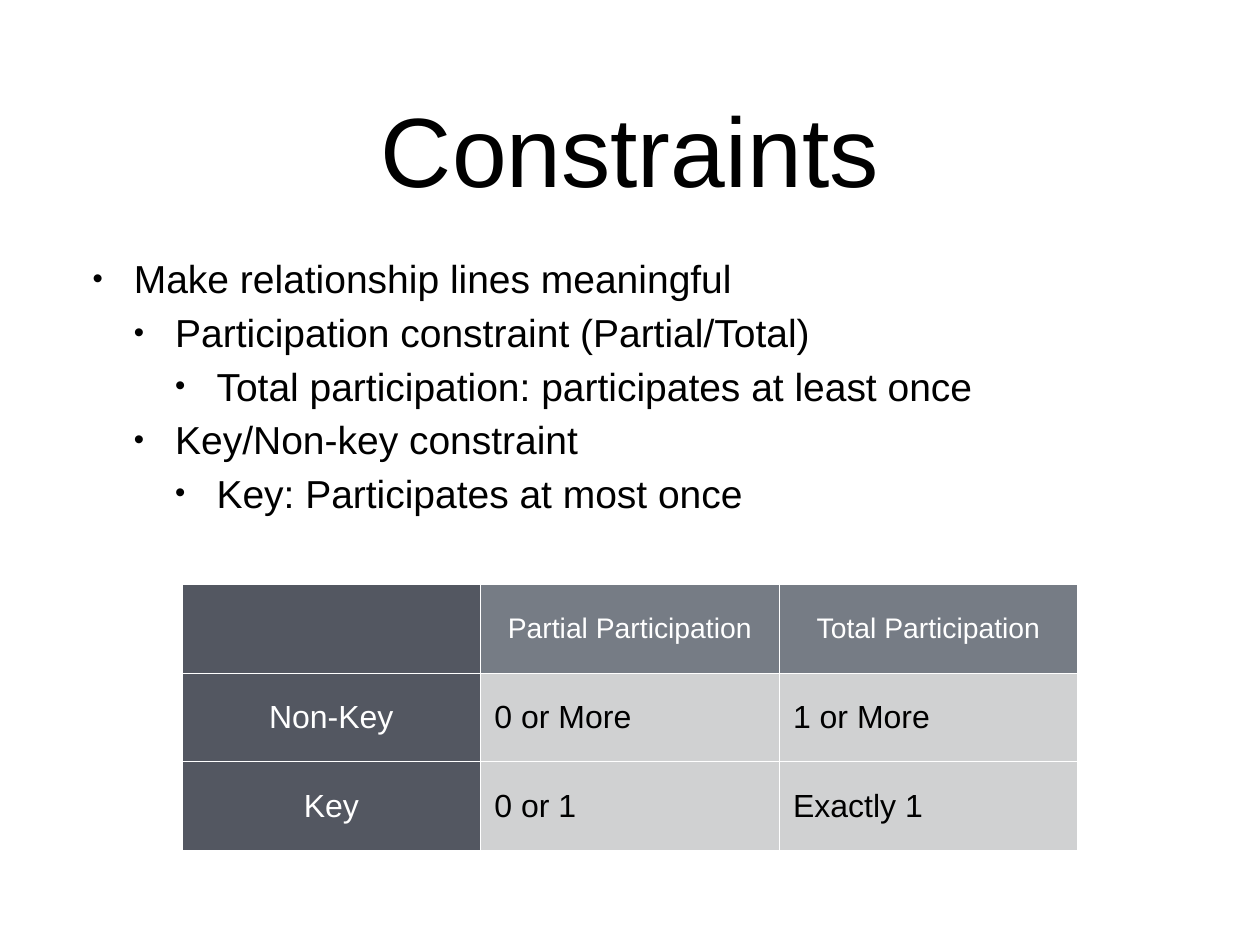
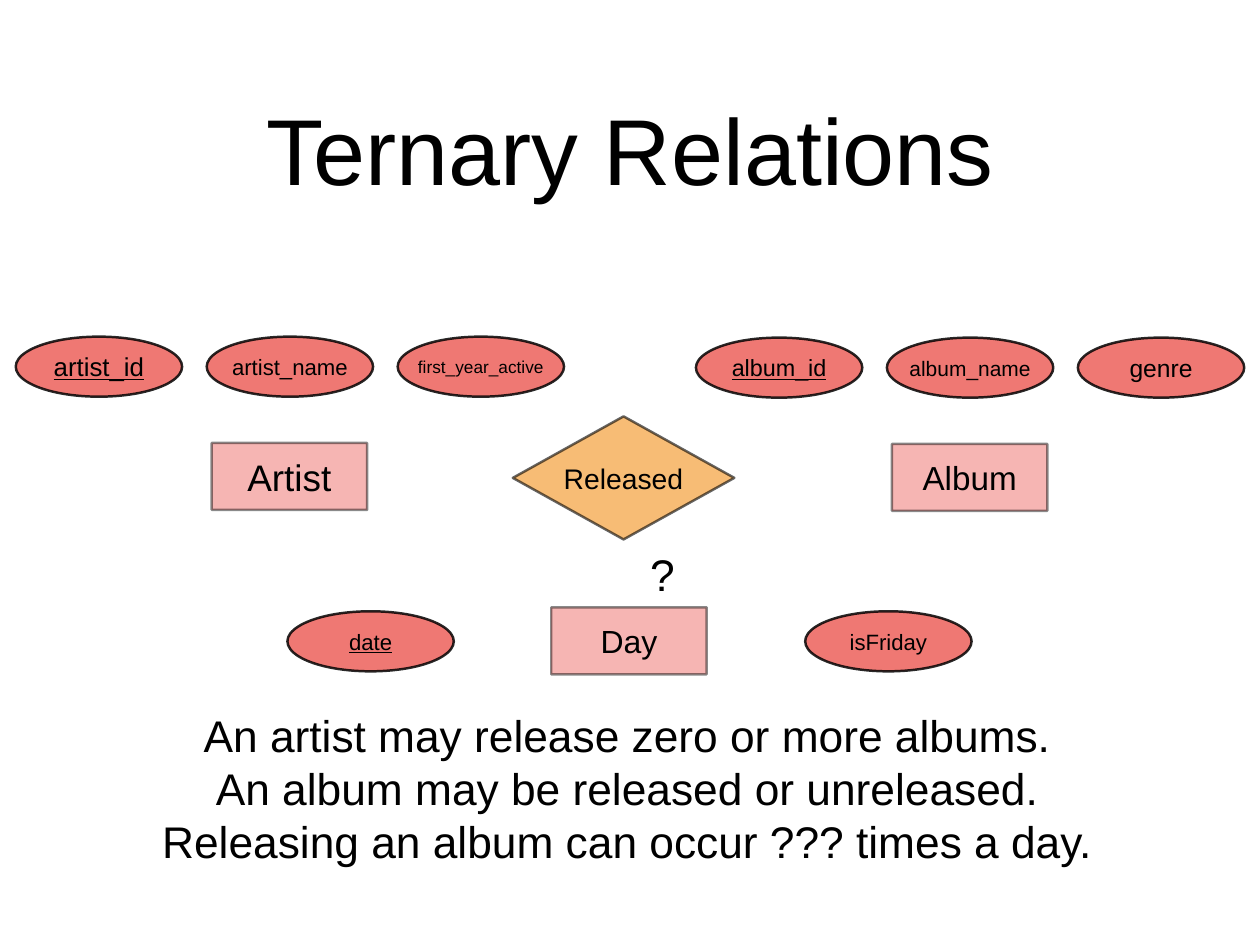
from lxml import etree
from pptx import Presentation
from pptx import util as u
from pptx.dml.color import RGBColor
from pptx.enum import shapes, text
from pptx.oxml.ns import qn

PX = 10160
FONT = "Arial"
BLACK = RGBColor(0x00, 0x00, 0x00)
WHITE = RGBColor(0xFF, 0xFF, 0xFF)
RED = RGBColor(0xEC, 0x5D, 0x57)
AMBER = RGBColor(0xF3, 0x90, 0x19)
HEAD = RGBColor(0x76, 0x7C, 0x85)
SIDE = RGBColor(0x53, 0x57, 0x61)
CELL = RGBColor(0xD0, 0xD1, 0xD2)
CENTER, LEFT = text.PP_ALIGN.CENTER, text.PP_ALIGN.LEFT
KIND = shapes.MSO_SHAPE
OVAL, RECT = (169, 61), (158, 68)


def px(*vals):
    """Turn px lengths into EMU."""
    return [u.Emu(v * PX) for v in vals]


def place(shape, *box):
    """Move a shape to a px box."""
    shape.left, shape.top, shape.width, shape.height = px(*box)


def style(par, size, color=BLACK, align=CENTER, under=None):
    """Set alignment and font of one paragraph."""
    par.alignment = align
    font = par.font
    font.name, font.size, font.underline = FONT, u.Pt(size), under
    font.color.rgb = color


def setup(frame, wrap=True, anchor=text.MSO_ANCHOR.MIDDLE):
    """Clear insets and fix wrap, fit and anchor."""
    frame.margin_left = frame.margin_right = 0
    frame.margin_top = frame.margin_bottom = 0
    frame.auto_size = text.MSO_AUTO_SIZE.NONE
    frame.word_wrap = wrap
    frame.vertical_anchor = anchor


def write(frame, words, size, under=None, wrap=True):
    """Write centred black lines into a frame."""
    setup(frame, wrap)
    frame.text = words
    for par in frame.paragraphs:
        style(par, size, under=under)


def start(deck, layout, title, size):
    """Add a slide with the shared title."""
    slide = deck.slides.add_slide(deck.slide_layouts[layout])
    place(slide.shapes.title, 94, 44, 1092, 212)
    write(slide.shapes.title.text_frame, title, size)
    return slide


def bullet(par, level):
    """Give a paragraph its indent and round bullet."""
    par.level = level
    props = par._p.get_or_add_pPr()
    step = px(42)[0]
    props.set("marL", str(step * (level + 1)))
    props.set("indent", str(-step))
    for tag, key, val in (("buSzPct", "val", "75000"),
                          ("buFont", "typeface", FONT),
                          ("buChar", "char", "•")):
        etree.SubElement(props, qn("a:" + tag)).set(key, val)


def outline(body, box, items):
    """Fill the body placeholder with levelled bullets."""
    place(body, *box)
    frame = body.text_frame
    setup(frame, anchor=text.MSO_ANCHOR.TOP)
    frame.text = "\n".join(words for _, words in items)
    for i, (par, (level, _)) in enumerate(zip(frame.paragraphs, items)):
        bullet(par, level)
        par.space_before = u.Pt(5.5 if i else 0)
        style(par, 31.7, align=LEFT)


def grid(slide, box, rows):
    """Add a table with a header row and a side column."""
    table = slide.shapes.add_table(len(rows), len(rows[0]), *px(*box)).table
    table.first_row = table.horz_banding = False
    for r, row in enumerate(rows):
        for c, words in enumerate(row):
            cell = table.cell(r, c)
            body = r > 0 and c > 0
            cell.fill.solid()
            cell.fill.fore_color.rgb = SIDE if c == 0 else CELL if body else HEAD
            cell.vertical_anchor = text.MSO_ANCHOR.MIDDLE
            cell.margin_left, cell.margin_right = px(14 if body else 5, 5)
            cell.text = words
            style(cell.text_frame.paragraphs[0], 26 if r else 23,
                  BLACK if body else WHITE, LEFT if body else CENTER)


def node(slide, kind, mid, dims, look, words, size, under=None):
    """Add a see-through labelled shape centred on a point."""
    color, alpha = look
    x, y = (m - d // 2 for m, d in zip(mid, dims))
    shape = slide.shapes.add_shape(kind, *px(x, y, *dims))
    shape.shadow.inherit = False
    shape.line.width = u.Pt(2)
    for fill, tint in ((shape.fill, color), (shape.line.fill, BLACK)):
        fill.solid()
        fill.fore_color.rgb = tint
    for clr in shape._element.spPr.iter(qn("a:srgbClr")):
        etree.SubElement(clr, qn("a:alpha")).set("val", str(alpha * 1000))
    write(shape.text_frame, words, size, under, wrap=False)


def entity(slide, mid, words, size):
    """Add an entity box."""
    node(slide, KIND.RECTANGLE, mid, RECT, (RED, 45), words, size)


def field(slide, mid, words, size, key=None):
    """Add an attribute oval, underlined for a key."""
    node(slide, KIND.OVAL, mid, OVAL, (RED, 83), words, size, key)


def group(slide, x, y, name, size, fields):
    """Set a row of attributes over their entity, from its top left."""
    for i, item in enumerate(fields):
        field(slide, (x + 84 + i * 194, y + 30), *item)
    entity(slide, (x + 84 + 194, y + 142), name, size)


def day(slide, x, y):
    """Set the day entity between its two attributes."""
    mids = [(x + 84 + i * 263, y + 34) for i in range(3)]
    field(slide, mids[0], "date", 18, True)
    entity(slide, mids[1], "Day", 26)
    field(slide, mids[2], "isFriday", 18)


def label(slide, box, words):
    """Add a plain centred text box."""
    shape = slide.shapes.add_textbox(*px(*box))
    write(shape.text_frame, words, 36)


def limits(deck):
    """Build the constraints slide."""
    slide = start(deck, 1, "Constraints", 80)
    outline(slide.placeholders[1], (94, 259, 1092, 270), [
        (0, "Make relationship lines meaningful"),
        (1, "Participation constraint (Partial/Total)"),
        (2, "Total participation: participates at least once"),
        (1, "Key/Non-key constraint"),
        (2, "Key: Participates at most once")])
    grid(slide, (185, 594, 910, 270), [
        ("", "Partial Participation", "Total Participation"),
        ("Non-Key", "0 or More", "1 or More"),
        ("Key", "0 or 1", "Exactly 1")])


def triple(deck):
    """Build the ternary relations slide."""
    slide = start(deck, 5, "Ternary Relations", 76)
    group(slide, 16, 342, "Artist", 30, [
        ("artist_id", 21, True), ("artist_name", 18), ("first_year_active", 14)])
    group(slide, 707, 343, "Album", 27, [
        ("album_id", 19, True), ("album_name", 17), ("genre", 20)])
    node(slide, KIND.DIAMOND, (633, 485), (225, 125), (AMBER, 60), "Released", 23)
    day(slide, 292, 617)
    label(slide, (656, 551, 34, 64), "?")
    label(slide, (157, 715, 960, 171),
          "An artist may release zero or more albums.\n"
          "An album may be released or unreleased.\n"
          "Releasing an album can occur ??? times a day.")


def main():
    """Build and save the deck."""
    deck = Presentation()
    deck.slide_width, deck.slide_height = px(1280, 960)
    limits(deck)
    triple(deck)
    deck.save("out.pptx")


if __name__ == "__main__":
    main()
